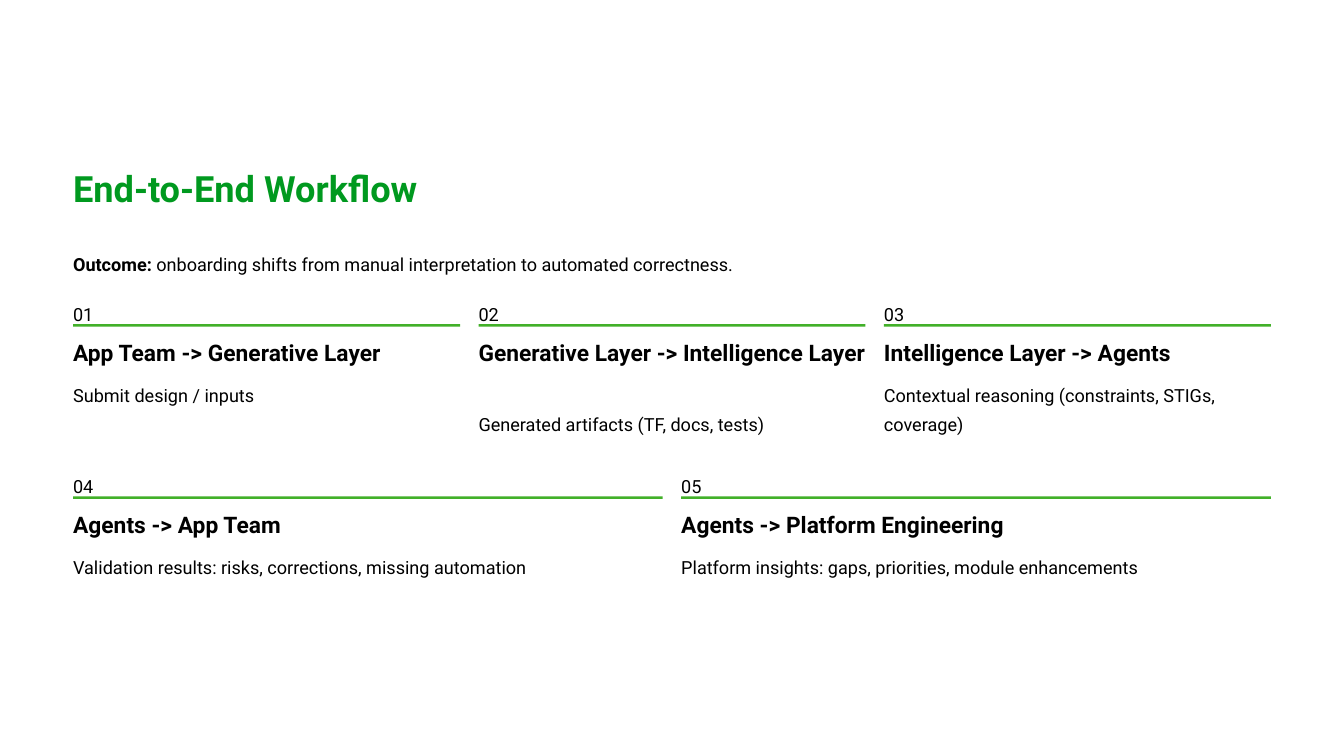
from dataclasses import dataclass

from pptx import Presentation
from pptx.dml.color import RGBColor
from pptx.enum.shapes import MSO_SHAPE
from pptx.enum.text import MSO_ANCHOR, MSO_AUTO_SIZE, PP_ALIGN
from pptx.slide import Slide
from pptx.text.text import TextFrame
from pptx.util import Inches, Pt

RECTANGLE = MSO_SHAPE.RECTANGLE
TOP = MSO_ANCHOR.TOP
NO_AUTOFIT = MSO_AUTO_SIZE.NONE
LEFT = PP_ALIGN.LEFT

WHITE = RGBColor(0xFF, 0xFF, 0xFF)
BLACK = RGBColor(0x00, 0x00, 0x00)
TITLE_GREEN = RGBColor(0x00, 0x99, 0x1F)
RULE_GREEN = RGBColor(0x42, 0xB0, 0x29)

FONT = "Roboto"
MARGIN = 0.87
CONTENT_WIDTH = 14.26
GAP = 0.22


@dataclass(frozen=True)
class TextStyle:
    size: float
    line_spacing: float
    bold: bool = False
    color: RGBColor = BLACK


TITLE = TextStyle(31, 39, True, TITLE_GREEN)
HEADING = TextStyle(19.5, 24, True)
BODY = TextStyle(15.5, 25)


@dataclass(frozen=True)
class Step:
    heading: str
    detail: str
    heading_height: float = 0.34


@dataclass(frozen=True)
class StepRow:
    top: float
    steps: tuple[Step, ...]


STEP_ROWS = (
    StepRow(3.52, (
        Step("App Team -> Generative Layer", "Submit design / inputs"),
        Step("Generative Layer -> Intelligence Layer",
             "Generated artifacts (TF, docs, tests)", 0.68),
        Step("Intelligence Layer -> Agents",
             "Contextual reasoning (constraints, STIGs, coverage)"),
    )),
    StepRow(5.57, (
        Step("Agents -> App Team",
             "Validation results: risks, corrections, missing automation"),
        Step("Agents -> Platform Engineering",
             "Platform insights: gaps, priorities, module enhancements"),
    )),
)


def format_text(frame: TextFrame, style: TextStyle) -> None:
    frame.margin_left = frame.margin_right = 0
    frame.margin_top = frame.margin_bottom = 0
    frame.auto_size = NO_AUTOFIT
    frame.vertical_anchor = TOP
    frame.word_wrap = True
    for paragraph in frame.paragraphs:
        paragraph.alignment = LEFT
        paragraph.line_spacing = Pt(style.line_spacing)
        for run in paragraph.runs:
            run.font.name = FONT
            run.font.size = Pt(style.size)
            run.font.bold = style.bold
            run.font.color.rgb = style.color


def add_text(slide: Slide, text: str, left: float, top: float, width: float,
             height: float, style: TextStyle) -> TextFrame:
    frame = slide.shapes.add_textbox(
        Inches(left), Inches(top), Inches(width), Inches(height)).text_frame
    frame.text = text
    format_text(frame, style)
    return frame


def add_rule(slide: Slide, left: float, top: float, width: float) -> None:
    rule = slide.shapes.add_shape(
        RECTANGLE, Inches(left), Inches(top), Inches(width), Inches(0.03))
    rule.shadow.inherit = False
    rule.fill.solid()
    rule.fill.fore_color.rgb = RULE_GREEN
    rule.line.fill.background()


def add_step(slide: Slide, step: Step, number: int, left: float, top: float,
             width: float) -> None:
    heading_top = top + 0.5
    detail_top = heading_top + step.heading_height + 0.13
    add_text(slide, f"{number:02d}", left, top, 0.4, 0.27, BODY)
    add_rule(slide, left, top + 0.34, width)
    # Headings may reach slightly into the gap so that they stay on one line
    add_text(slide, step.heading, left, heading_top, width + 0.1,
             step.heading_height, HEADING)
    add_text(slide, step.detail, left, detail_top, width, 0.35, BODY)


def main() -> None:
    presentation = Presentation()
    presentation.slide_width = Inches(16)
    presentation.slide_height = Inches(9)
    slide = presentation.slides.add_slide(presentation.slide_layouts[5])
    slide.background.fill.solid()
    slide.background.fill.fore_color.rgb = WHITE

    # Title
    title = slide.shapes.title
    title.left, title.top = Inches(MARGIN), Inches(1.95)
    title.width, title.height = Inches(CONTENT_WIDTH), Inches(0.54)
    title.text_frame.text = "End-to-End Workflow"
    format_text(title.text_frame, TITLE)

    # Outcome sentence with a bold lead-in
    outcome = add_text(slide, "Outcome:", MARGIN, 2.93, CONTENT_WIDTH, 0.35, BODY)
    sentence = outcome.paragraphs[0]
    sentence.add_run().text = (
        " onboarding shifts from manual interpretation to automated correctness.")
    format_text(outcome, BODY)
    sentence.runs[0].font.bold = True

    # Numbered steps, each row sharing the content width equally
    number = 0
    for row in STEP_ROWS:
        count = len(row.steps)
        width = (CONTENT_WIDTH - GAP * (count - 1)) / count
        for column, step in enumerate(row.steps):
            number += 1
            left = MARGIN + column * (width + GAP)
            add_step(slide, step, number, left, row.top, width)

    presentation.save("out.pptx")


if __name__ == "__main__":
    main()
